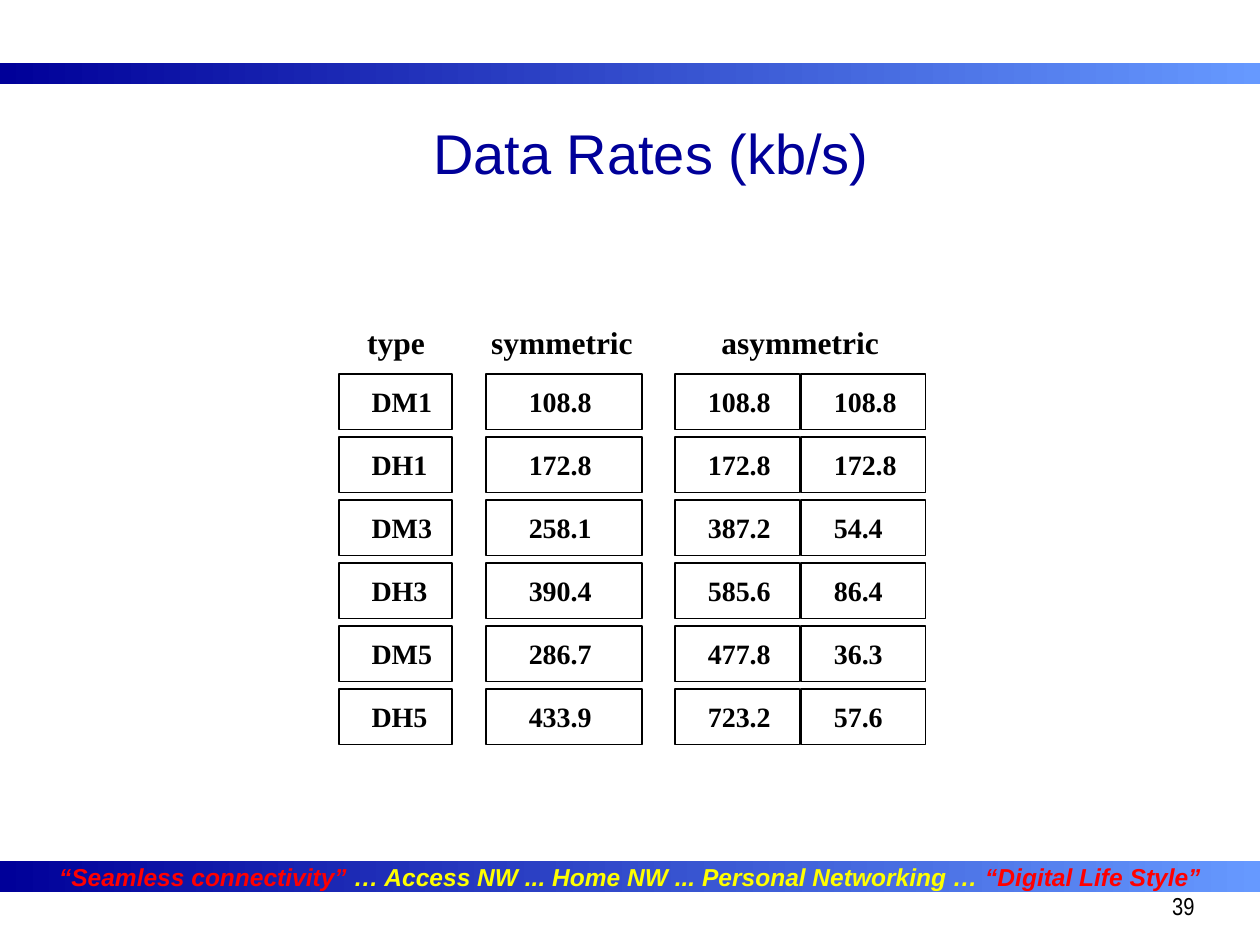
import pptx
import pptx.util
import pptx.dml.color
import pptx.enum.shapes
import pptx.enum.text

Cm = pptx.util.Cm
Pt = pptx.util.Pt
RGBColor = pptx.dml.color.RGBColor
ALIGN = pptx.enum.text.PP_ALIGN
ANCHOR = pptx.enum.text.MSO_ANCHOR

NAVY = RGBColor(0x00, 0x00, 0x99)
SKY = RGBColor(0x66, 0x99, 0xFF)
RED = RGBColor(0xFF, 0x00, 0x00)
YELLOW = RGBColor(0xFF, 0xFF, 0x00)
BLACK = RGBColor(0x00, 0x00, 0x00)
WHITE = RGBColor(0xFF, 0xFF, 0xFF)

# Content
TITLE = "Data Rates (kb/s)"
SLIDE_NUMBER = "39"
SLOGAN = [
    ("“Seamless connectivity”", RED),
    (" … Access NW ... Home NW ... Personal Networking … ", YELLOW),
    ("“Digital Life Style”", RED),
]
RATES = [
    ("DM1", "108.8", "108.8", "108.8"),
    ("DH1", "172.8", "172.8", "172.8"),
    ("DM3", "258.1", "387.2", "54.4"),
    ("DH3", "390.4", "585.6", "86.4"),
    ("DM5", "286.7", "477.8", "36.3"),
    ("DH5", "433.9", "723.2", "57.6"),
]

# Layout in centimetres
SLIDE_WIDTH, SLIDE_HEIGHT = 25.4, 19.05
BARS = [(1.27, 0.43), (17.35, 0.63)]  # top, height
HEADINGS = [("type", 6.83, 2.31), ("symmetric", 9.35, 3.96),
            ("asymmetric", 13.59, 5.08)]  # text, left, width
HEADING_TOP, HEADING_HEIGHT = 6.38, 1.02
COLUMNS = [(6.83, 2.29, 0.66), (9.8, 3.15, 0.86),
           (13.61, 2.51, 0.66), (16.15, 2.51, 0.66)]  # left, width, indent
FIRST_ROW, ROW_PITCH, CELL_HEIGHT = 7.54, 1.27, 1.12


def write(shape, runs, font_name, size, align, anchor=ANCHOR.MIDDLE,
          bold=False, italic=False, wrap=True):
    """Fill a shape with one paragraph of (text, colour) runs."""
    frame = shape.text_frame
    frame.word_wrap = wrap
    frame.vertical_anchor = anchor
    paragraph = frame.paragraphs[0]
    paragraph.alignment = align
    for text, color in runs:
        run = paragraph.add_run()
        run.text = text
        run.font.name = font_name
        run.font.size = Pt(size)
        run.font.bold = bold
        run.font.italic = italic
        run.font.color.rgb = color
    return paragraph


def add_text(slide, left, top, width, height, *args, **options):
    box = slide.shapes.add_textbox(Cm(left), Cm(top), Cm(width), Cm(height))
    return write(box, *args, **options)


def add_rectangle(slide, left, top, width, height):
    shape = slide.shapes.add_shape(
        pptx.enum.shapes.MSO_SHAPE.RECTANGLE,
        Cm(left), Cm(top), Cm(width), Cm(height))
    shape.shadow.inherit = False
    return shape


def add_bar(slide, top, height):
    bar = add_rectangle(slide, 0, top, SLIDE_WIDTH, height)
    bar.line.fill.background()
    bar.fill.gradient()
    bar.fill.gradient_angle = 0
    for stop, color, position in zip(bar.fill.gradient_stops, (NAVY, SKY), (0, 1)):
        stop.color.rgb = color
        stop.position = position
    return bar


def add_cell(slide, left, top, width, indent, text):
    cell = add_rectangle(slide, left, top, width, CELL_HEIGHT)
    cell.fill.solid()
    cell.fill.fore_color.rgb = WHITE
    cell.line.color.rgb = BLACK
    cell.line.width = Pt(1)
    cell.text_frame.margin_left = Cm(indent)
    cell.text_frame.margin_right = 0
    write(cell, [(text, BLACK)], "Times New Roman", 16, ALIGN.LEFT, bold=True)


def main():
    presentation = pptx.Presentation()
    presentation.slide_width = Cm(SLIDE_WIDTH)
    presentation.slide_height = Cm(SLIDE_HEIGHT)
    slide = presentation.slides.add_slide(presentation.slide_layouts[6])

    # Gradient bars, the lower one with the slogan
    top_bar, slogan_bar = [add_bar(slide, top, height) for top, height in BARS]
    write(slogan_bar, SLOGAN, "Arial", 14, ALIGN.CENTER,
          bold=True, italic=True, wrap=False)

    # Title
    add_text(slide, 1.7, 2.34, 22.86, 1.47, [(TITLE, NAVY)],
             "Arial", 32, ALIGN.CENTER)

    # Column headings
    for heading, left, width in HEADINGS:
        add_text(slide, left, HEADING_TOP, width, HEADING_HEIGHT,
                 [(heading, BLACK)], "Times New Roman", 18, ALIGN.CENTER,
                 anchor=ANCHOR.TOP, bold=True)

    # Grid of separate boxes
    for row, values in enumerate(RATES):
        top = FIRST_ROW + row * ROW_PITCH
        for (left, width, indent), value in zip(COLUMNS, values):
            add_cell(slide, left, top, width, indent, value)

    # Slide number
    number = add_text(slide, 19.05, 17.78, 5.28, 1.27, [(SLIDE_NUMBER, BLACK)],
                      "Arial Narrow", 14, ALIGN.RIGHT, anchor=ANCHOR.TOP)
    number.line_spacing = 1.1

    presentation.save("out.pptx")


if __name__ == "__main__":
    main()
